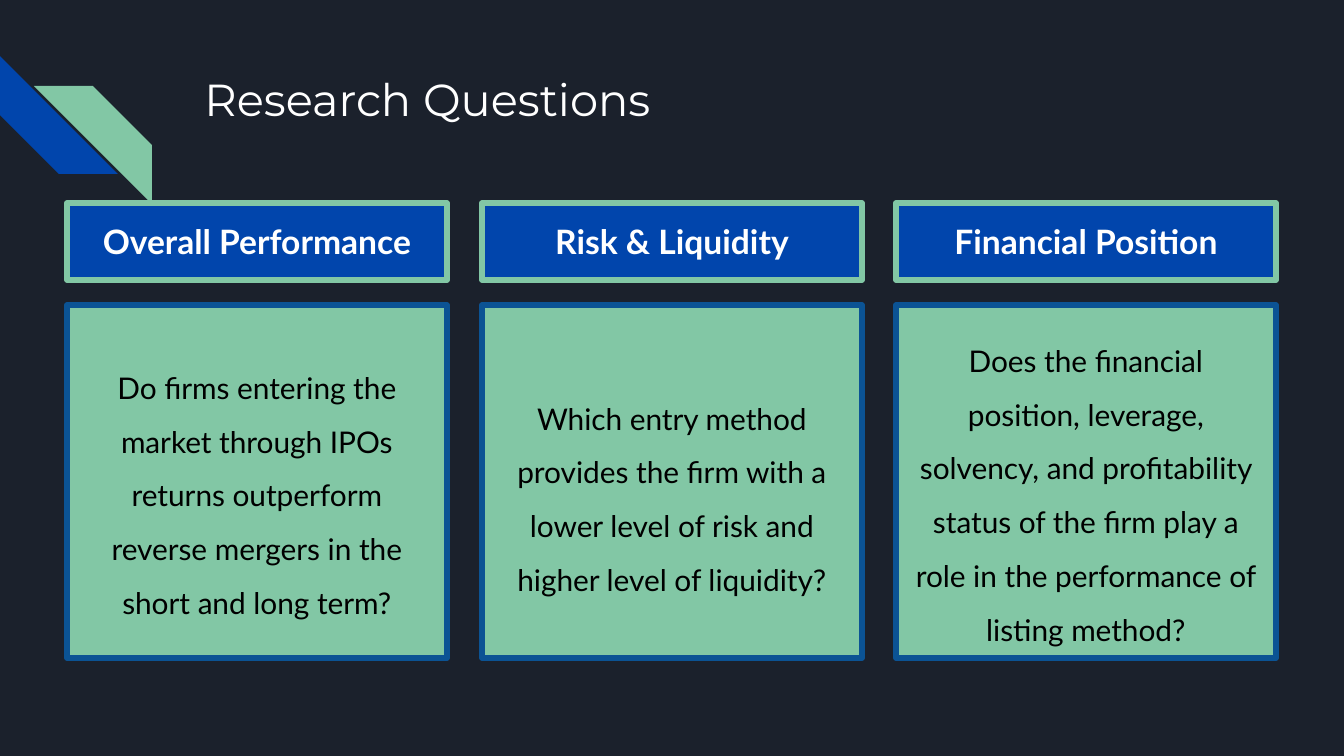
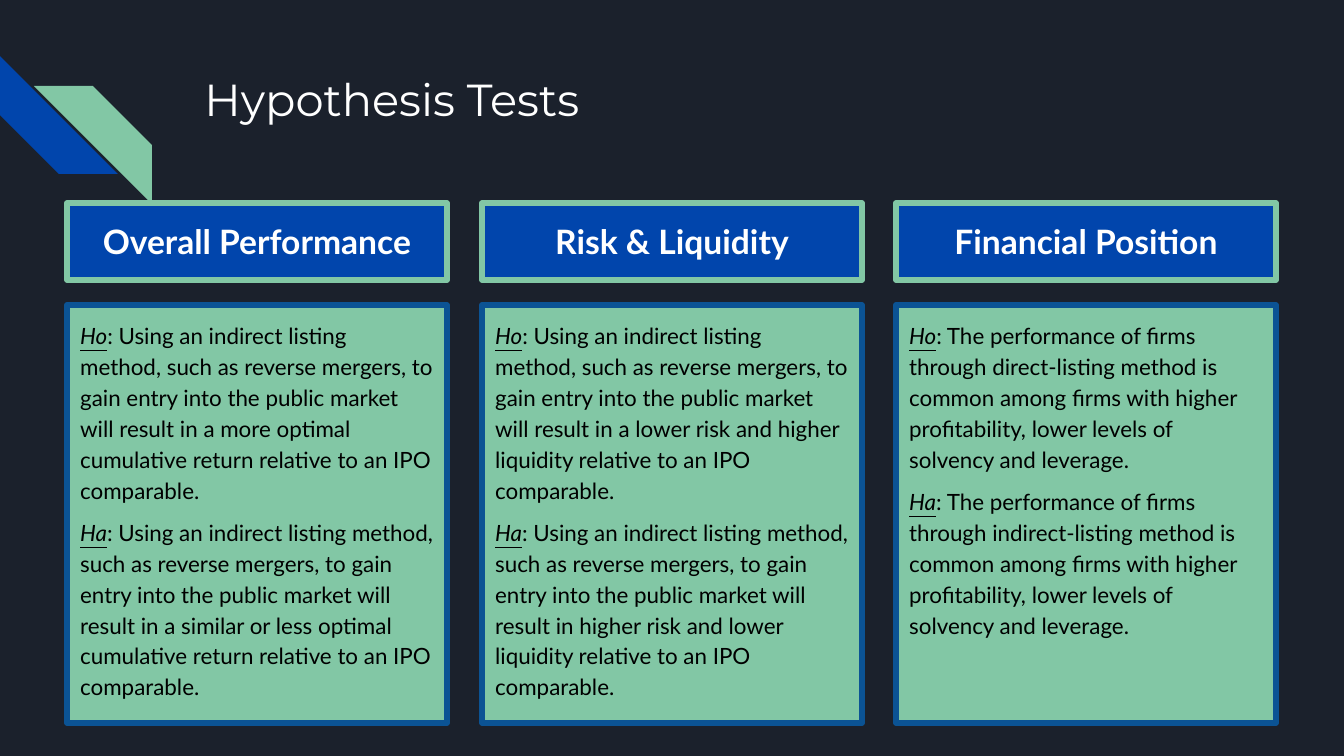
from pptx import Presentation
from pptx.dml.color import RGBColor
from pptx.enum.shapes import MSO_SHAPE
from pptx.enum.text import MSO_ANCHOR, MSO_AUTO_SIZE, PP_ALIGN
from pptx.util import Inches, Pt

RECTANGLE = MSO_SHAPE.RECTANGLE
STRIPE = MSO_SHAPE.DIAGONAL_STRIPE
TOP, MIDDLE = MSO_ANCHOR.TOP, MSO_ANCHOR.MIDDLE
LEFT, CENTER = PP_ALIGN.LEFT, PP_ALIGN.CENTER
NO_FIT = MSO_AUTO_SIZE.NONE

SCALE = Inches(10) / 1344
WIDTH, HEIGHT = 1344, 756
COLUMN_LEFT, COLUMN_STEP, COLUMN_WIDTH = 67, 414.5, 380
CARD_TOP = 305
TITLE_ONLY = 5

NAVY, BLUE, GREEN, EDGE = "1B212C", "0145AC", "82C7A5", "0B5394"
WHITE, BLACK = "FFFFFF", "000000"

TOPICS = ["Overall Performance", "Risk & Liquidity", "Financial Position"]
QUESTIONS = [
    (328, "Do firms entering the market through IPOs returns outperform "
          "reverse mergers in the short and long term?"),
    (332, "Which entry method provides the firm with a lower level of risk "
          "and higher level of liquidity?"),
    (328, "Does the financial position, leverage, solvency, and profitability "
          "status of the firm play a role in the performance of listing method?"),
]
INDIRECT = (": Using an indirect listing method, such as reverse mergers, to gain "
            "entry into the public market will result in {} relative to an IPO comparable.")
FIRMS = (": The performance of firms through {} method is common among firms with "
         "higher profitability, lower levels of solvency and leverage.")
HYPOTHESES = [
    (INDIRECT, "a more optimal cumulative return",
     "a similar or less optimal cumulative return"),
    (INDIRECT, "a lower risk and higher liquidity", "higher risk and lower liquidity"),
    (FIRMS, "direct-listing", "indirect-listing"),
]


def color(value):
    """Turn a hex string into a colour."""
    return RGBColor.from_string(value)


def px(length):
    """Turn picture pixels into EMU."""
    return round(length * SCALE)


def column(index):
    """Return the left edge of a column."""
    return round(COLUMN_LEFT + COLUMN_STEP * index)


def write(para, text, size=12, font="Lato", ink=BLACK, bold=False, italic=False,
          underline=False):
    """Add a formatted span of text to a paragraph."""
    span = para.add_run()
    span.text = text
    style = span.font
    style.name, style.size, style.bold = font, Pt(size), bold
    style.italic, style.underline = italic, underline
    style.color.rgb = color(ink)


class Deck:
    """Hold the shared style and the current slide."""

    def __init__(self):
        """Set the slide size and the background."""
        self.file = Presentation()
        self.file.slide_width, self.file.slide_height = px(WIDTH), px(HEIGHT)
        background = self.file.slide_master.background.fill
        background.solid()
        background.fore_color.rgb = color(NAVY)

    def add_page(self, title, card_height):
        """Start a slide with its title, stripes, topic headers and cards."""
        self.page = self.file.slides.add_slide(self.file.slide_layouts[TITLE_ONLY])
        self.add_title(title)
        self.add_shape(STRIPE, 0, 56, 118, 118, BLUE).rotation = 270
        green_stripe = self.add_shape(STRIPE, 34, 86, 118, 118, GREEN)
        green_stripe.element.spPr.xfrm.set("flipH", "1")
        for index, topic in enumerate(TOPICS):
            self.add_shape(RECTANGLE, column(index), CARD_TOP, COLUMN_WIDTH,
                           card_height, GREEN, EDGE)
            header = self.add_shape(RECTANGLE, column(index), 203, COLUMN_WIDTH, 77,
                                    BLUE, GREEN)
            para = self.prepare(header, MIDDLE, CENTER)
            write(para, topic, size=18, ink=WHITE, bold=True)

    def add_title(self, text):
        """Place the title placeholder."""
        title = self.page.shapes.title
        title.left, title.top, title.width, title.height = map(px, (191, 58, 1035, 134))
        write(self.prepare(title), text, size=24, font="Montserrat", ink=WHITE)

    def add_shape(self, kind, left, top, width, height, fill, line=None):
        """Add a filled preset shape, outlined if a line colour is given."""
        shape = self.page.shapes.add_shape(kind, *map(px, (left, top, width, height)))
        shape.shadow.inherit = False
        shape.fill.solid()
        shape.fill.fore_color.rgb = color(fill)
        if line:
            shape.line.color.rgb = color(line)
            shape.line.width = Pt(3)
        else:
            shape.line.fill.background()
        return shape

    def add_text(self, left, top, height, anchor=TOP, align=LEFT):
        """Add a column-wide text box and return its first paragraph."""
        box = self.page.shapes.add_textbox(*map(px, (left, top, COLUMN_WIDTH, height)))
        return box, self.prepare(box, anchor, align)

    def prepare(self, box, anchor=TOP, align=LEFT):
        """Set the text frame of a box and return its first paragraph."""
        frame = box.text_frame
        frame.word_wrap = True
        frame.auto_size = NO_FIT
        frame.vertical_anchor = anchor
        frame.margin_left = frame.margin_right = Inches(0.1)
        frame.margin_top = frame.margin_bottom = Inches(0.1)
        para = frame.paragraphs[0]
        para.alignment = align
        return para

    def add_question(self, index, top, text):
        """Add a centred research question to a column."""
        box, para = self.add_text(column(index), top, 316, MIDDLE, CENTER)
        para.line_spacing = 1.5
        para.space_before = para.space_after = Pt(10)
        write(para, text, size=16)

    def add_hypotheses(self, index, height, sentence, null, alternative):
        """Add the null and the alternative hypothesis to a column."""
        box, first = self.add_text(column(index), CARD_TOP, height)
        second = box.text_frame.add_paragraph()
        second.space_before = Pt(6)
        for para, label, claim in ((first, "Ho", null), (second, "Ha", alternative)):
            para.line_spacing = 1.15
            write(para, label, italic=True, underline=True)
            write(para, sentence.format(claim))


deck = Deck()

deck.add_page("Research Questions", 353)
for number, (question_top, question) in enumerate(QUESTIONS):
    deck.add_question(number, question_top, question)

deck.add_page("Hypothesis Tests", 418)
for number, hypotheses in enumerate(HYPOTHESES):
    deck.add_hypotheses(number, 418, *hypotheses)

deck.file.save("out.pptx")
